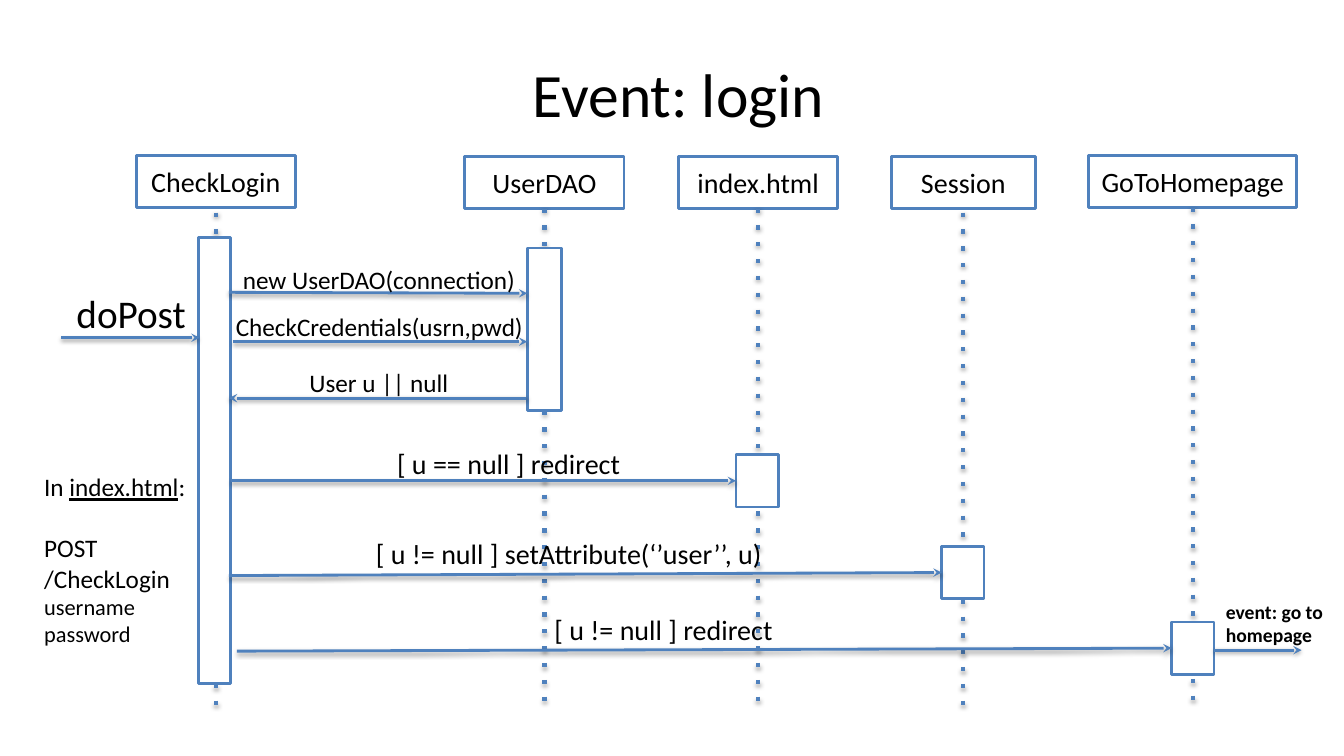
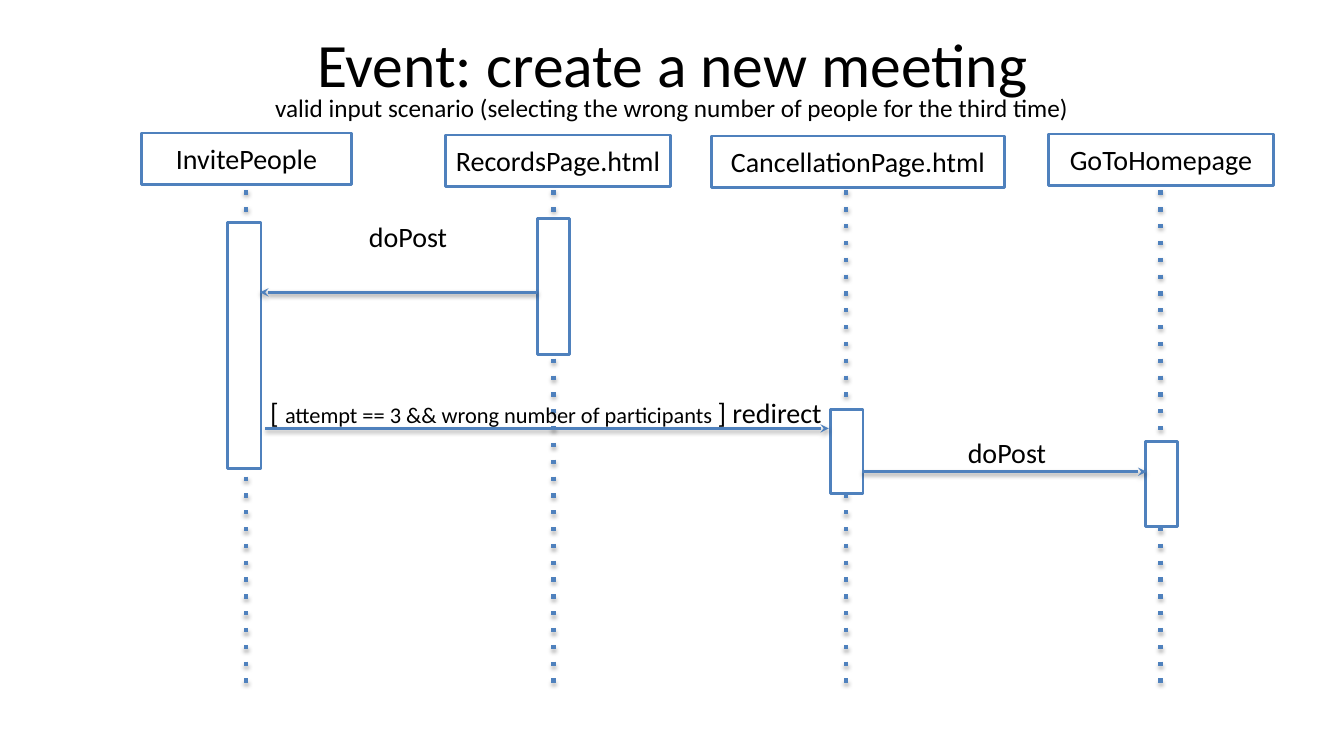
from dataclasses import dataclass
from typing import Optional

from lxml.etree import SubElement
from pptx import Presentation
from pptx.dml.color import RGBColor
from pptx.enum.shapes import MSO_CONNECTOR, MSO_SHAPE
from pptx.enum.text import MSO_ANCHOR, PP_ALIGN
from pptx.oxml.ns import qn
from pptx.util import Pt

PX = 9144  # 100 px to the inch
TITLE_ONLY_LAYOUT = 5
BOTTOM, LEFT = 2, 1  # connection sites of a rectangle


@dataclass(frozen=True)
class Theme:
    font: str = "Calibri"
    ink: RGBColor = RGBColor(0x00, 0x00, 0x00)
    paper: RGBColor = RGBColor(0xFF, 0xFF, 0xFF)
    accent: RGBColor = RGBColor(0x4F, 0x81, 0xBD)
    title: int = 44
    trigger: int = 28
    name: int = 20
    text: int = 18
    detail: int = 16
    small: int = 14
    outline: int = 2
    lifeline: int = 3


THEME = Theme()


@dataclass(frozen=True)
class Box:
    left: int
    top: int
    width: int
    height: int

    def inside(self, outer):
        return Box(outer.left + self.left, outer.top + self.top, self.width, self.height)

    def emu(self):
        return [length * PX for length in (self.left, self.top, self.width, self.height)]


@dataclass(frozen=True)
class Run:
    text: str
    size: int = THEME.name
    bold: bool = False
    underline: bool = False


@dataclass(frozen=True)
class Participant:
    name: str
    left: int
    top: int
    width: int
    lifeline_top: int
    bar: Box
    lifeline_shift: int = 0


@dataclass(frozen=True)
class Message:
    start: tuple
    end: tuple
    label: Box
    runs: tuple
    target: Optional[str] = None  # participant whose bar the arrow is joined to


@dataclass(frozen=True)
class Diagram:
    box: Box
    head_height: int
    lifeline_length: int
    participants: tuple
    messages: tuple


# Shared parts
def style_run(run, size, bold=False, underline=False):
    font = run.font
    font.name, font.size = THEME.font, Pt(size)
    font.bold, font.underline = bold, underline
    font.color.rgb = THEME.ink


def add_runs(paragraph, runs):
    for item in runs:
        run = paragraph.add_run()
        run.text = item.text
        style_run(run, item.size, item.bold, item.underline)


def add_text(slide, box, paragraphs):
    text_frame = slide.shapes.add_textbox(*box.emu()).text_frame
    text_frame.word_wrap = True
    for index, runs in enumerate(paragraphs):
        paragraph = text_frame.add_paragraph() if index else text_frame.paragraphs[0]
        add_runs(paragraph, runs)
    return text_frame


def add_title(slide, box, text):
    title = slide.shapes.title
    title.left, title.top, title.width, title.height = box.emu()
    text_frame = title.text_frame
    text_frame.text = text
    text_frame.vertical_anchor = MSO_ANCHOR.MIDDLE
    paragraph = text_frame.paragraphs[0]
    paragraph.alignment = PP_ALIGN.CENTER
    style_run(paragraph.runs[0], THEME.title)


def add_rectangle(slide, box, text=""):
    shape = slide.shapes.add_shape(MSO_SHAPE.RECTANGLE, *box.emu())
    shape.shadow.inherit = False
    shape.fill.solid()
    shape.fill.fore_color.rgb = THEME.paper
    shape.line.color.rgb = THEME.accent
    shape.line.width = Pt(THEME.outline)
    if text:
        text_frame = shape.text_frame
        text_frame.text = text
        text_frame.vertical_anchor = MSO_ANCHOR.MIDDLE
        paragraph = text_frame.paragraphs[0]
        paragraph.alignment = PP_ALIGN.CENTER
        style_run(paragraph.runs[0], THEME.name)
    return shape


def add_line(slide, start, end, width, ending, shadow_opacity, shadow_distance):
    """Draw a line with a soft shadow; ending is a (tag, attributes) pair."""
    connector = slide.shapes.add_connector(
        MSO_CONNECTOR.STRAIGHT, *(length * PX for length in (*start, *end)))
    connector.line.color.rgb = THEME.accent
    connector.line.width = Pt(width)
    tag, attributes = ending
    SubElement(connector.line._get_or_add_ln(), qn(tag), attributes)
    effects = SubElement(connector._element.spPr, qn("a:effectLst"))
    shadow = SubElement(effects, qn("a:outerShdw"), {
        "blurRad": str(Pt(3.1)), "dist": str(Pt(shadow_distance)),
        "dir": "5400000", "rotWithShape": "0"})
    color = SubElement(shadow, qn("a:srgbClr"), {"val": str(THEME.ink)})
    SubElement(color, qn("a:alpha"), {"val": str(shadow_opacity * 1000)})
    return connector


# Sequence diagram
def add_participant(slide, diagram, participant):
    """Draw head, lifeline and activation bar; return the bar."""
    head_box = Box(participant.left, participant.top, participant.width,
                   diagram.head_height).inside(diagram.box)
    head = add_rectangle(slide, head_box, participant.name)
    x = head_box.left + head_box.width // 2 + participant.lifeline_shift
    top = diagram.box.top + participant.lifeline_top
    lifeline = add_line(slide, (x, top), (x, top + diagram.lifeline_length),
                        THEME.lifeline, ("a:prstDash", {"val": "dot"}), 35, 1.8)
    if top == head_box.top + head_box.height:
        lifeline.begin_connect(head, BOTTOM)
    return add_rectangle(slide, participant.bar.inside(diagram.box))


def add_message(slide, box, message, bars):
    start, end = ((box.left + x, box.top + y) for x, y in (message.start, message.end))
    arrow = add_line(slide, start, end, THEME.outline,
                     ("a:tailEnd", {"type": "stealth"}), 38, 1.6)
    if message.target:
        arrow.end_connect(bars[message.target], LEFT)
    add_text(slide, message.label.inside(box), [message.runs])


def add_diagram(slide, diagram):
    bars = {participant.name: add_participant(slide, diagram, participant)
            for participant in diagram.participants}
    for message in diagram.messages:
        add_message(slide, diagram.box, message, bars)


def add_request_note(slide, box):
    text_frame = add_text(slide, box, [
        [Run("In ", THEME.text), Run("index.html", THEME.text, underline=True),
         Run(":", THEME.text)],
        [Run("POST", THEME.text)],
        [Run("/CheckLogin", THEME.text)],
        [Run("username", THEME.detail)],
        [Run("password", THEME.detail)],
    ])
    text_frame.paragraphs[1].space_before = Pt(22)


def add_event_slide(presentation, title, title_box, diagram):
    slide = presentation.slides.add_slide(presentation.slide_layouts[TITLE_ONLY_LAYOUT])
    add_title(slide, title_box, title)
    add_diagram(slide, diagram)
    return slide


LOGIN = Diagram(
    box=Box(0, 154, 1333, 556), head_height=52, lifeline_length=499,
    participants=(
        Participant("CheckLogin", 135, 0, 158, 57, Box(197, 82, 32, 442)),
        Participant("UserDAO", 461, 1, 158, 53, Box(523, 92, 34, 161)),
        Participant("index.html", 673, 1, 158, 53, Box(730, 297, 42, 52)),
        Participant("Session", 884, 1, 143, 57, Box(934, 388, 42, 52)),
        Participant("GoToHomepage", 1080, 0, 206, 52, Box(1162, 463, 42, 52)),
    ),
    messages=(
        Message((61, 181), (198, 181), Box(66, 128, 129, 57),
                (Run("doPost", THEME.trigger),)),
        Message((227, 136), (523, 137), Box(231, 103, 298, 40),
                (Run("new UserDAO(connection)", THEME.text),)),
        Message((231, 185), (523, 185), Box(224, 150, 310, 40),
                (Run("CheckCredentials(usrn,pwd)", THEME.text),)),
        Message((522, 241), (227, 241), Box(297, 205, 168, 40),
                (Run("User u || null", THEME.text),)),
        Message((229, 323), (730, 323), Box(384, 284, 276, 44),
                (Run("[ u == null ] redirect"),), "index.html"),
        Message((227, 417), (934, 414), Box(363, 373, 477, 44),
                (Run("[ u != null ] setAttribute(‘’user’’, u)"),), "Session"),
        Message((235, 492), (1162, 489), Box(540, 449, 271, 44),
                (Run("[ u != null ] redirect"),), "GoToHomepage"),
        Message((1204, 491), (1291, 491), Box(1206, 436, 127, 57),
                (Run("event: go to homepage", THEME.small, bold=True),)),
    ),
)

NEW_MEETING = Diagram(
    box=Box(0, 132, 1333, 556), head_height=51, lifeline_length=499,
    participants=(
        Participant("InvitePeople", 140, 0, 209, 57, Box(226, 89, 33, 244)),
        Participant("RecordsPage.html", 442, 2, 223, 57, Box(533, 85, 32, 135), -4),
        Participant("CancellationPage.html", 706, 3, 290, 57, Box(824, 274, 32, 84), -12),
        Participant("GoToHomepage", 1040, 1, 223, 57, Box(1136, 306, 32, 84)),
    ),
    messages=(
        Message((533, 158), (258, 158), Box(356, 81, 111, 44), (Run("doPost"),)),
        Message((263, 293), (822, 293), Box(258, 255, 591, 44),
                (Run("[ "),
                 Run("attempt == 3 && wrong number of participants ", THEME.detail),
                 Run("] redirect"))),
        Message((855, 336), (1137, 336), Box(950, 295, 98, 44), (Run("doPost"),)),
    ),
)


def main():
    presentation = Presentation()
    presentation.slide_width, presentation.slide_height = 1333 * PX, 750 * PX

    # Login
    login_slide = add_event_slide(
        presentation, "Event: login", Box(73, 30, 1200, 125), LOGIN)
    add_request_note(login_slide, Box(34, 463, 193, 193))

    # New meeting
    meeting_slide = add_event_slide(
        presentation, "Event: create a new meeting", Box(67, 0, 1200, 125), NEW_MEETING)
    add_text(meeting_slide, Box(263, 87, 837, 40), [[Run(
        "valid input scenario (selecting the wrong number of people for the third time)",
        THEME.text)]])

    presentation.save("out.pptx")


if __name__ == "__main__":
    main()
